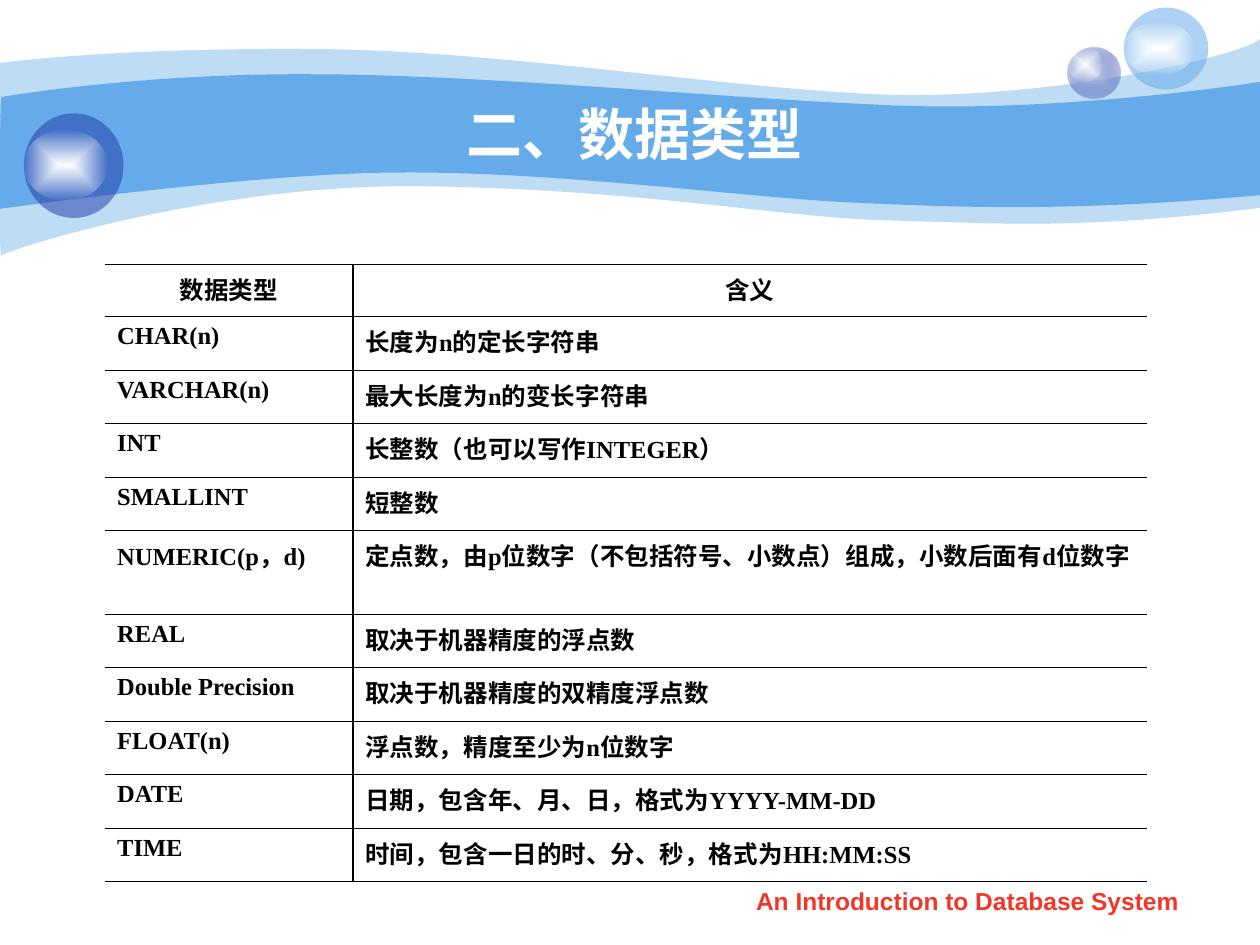
from dataclasses import dataclass
from pptx import Presentation
from pptx.util import Inches, Pt
from pptx.dml.color import RGBColor
from pptx.enum import shapes, text
from pptx.oxml import parse_xml
from pptx.oxml.ns import nsdecls, qn
from lxml import etree


@dataclass(frozen=True)
class Theme:
    sky: str = "65AAE9"
    navy: str = "233DA9"
    mist: str = "C6CCE8"
    white: str = "FFFFFF"
    pearl: str = "FEFEFE"
    black: str = "000000"
    red: str = "F03628"
    sans: str = "Arial"
    serif: str = "Times New Roman"
    title_size: int = 32
    body_size: int = 14
    thin: float = 0.45
    thick: float = 1.08


theme = Theme()


def paint(sp, *stops):
    colors = [f'<a:srgbClr val="{c}">' + (f'<a:alpha val="{a * 1000}"/>' if a < 100 else "") + "</a:srgbClr>"
              for c, a in stops]
    if len(colors) == 1:
        xml = f'<a:solidFill {nsdecls("a")}>{colors[0]}</a:solidFill>'
    else:
        xml = (f'<a:gradFill {nsdecls("a")} rotWithShape="1"><a:gsLst><a:gs pos="0">{colors[0]}</a:gs>'
               f'<a:gs pos="100000">{colors[1]}</a:gs></a:gsLst><a:path path="rect">'
               '<a:fillToRect l="50000" t="50000" r="50000" b="50000"/></a:path></a:gradFill>')
    sp.shadow.inherit = False
    sp.line.fill.background()
    sp.fill.solid()
    spPr = sp._element.spPr
    spPr.replace(spPr.find(qn("a:solidFill")), parse_xml(xml))


def style(p, font, size, color, align):
    p.alignment = align
    for r in p.runs:
        r.font.name = font
        r.font.size = Pt(size)
        r.font.bold = True
        r.font.color.rgb = RGBColor.from_string(color)


prs = Presentation()
prs.slide_width, prs.slide_height = Inches(10), Inches(7.5)
layout = prs.slide_layouts[5]
s = prs.slides.add_slide(layout)
backdrop = layout.shapes._spTree

waves = [
    (41, (0, 0.5), [
        (0.24, 0.47, 1.07, 0.38, 2.47, 0.39), (3.86, 0.39, 5.75, 0.7, 6.99, 0.75),
        (8.22, 0.8, 9.8, 0.47, 10, 0.31), (10, 1.65),
        (8.58, 1.83, 7.87, 1.77, 7.05, 1.75), (6.22, 1.73, 5.15, 1.51, 3.43, 1.48),
        (1.72, 1.44, 0.04, 1.99, 0.01, 2.03), (-0.01, 2.08, 0, 0.75, 0, 0.5)]),
    (100, (0.01, 0.77), [
        (0.02, 0.77, 1.1, 0.58, 2.48, 0.59), (3.86, 0.59, 5.95, 0.8, 7.18, 0.84),
        (8.41, 0.88, 9.76, 0.69, 10, 0.65), (10, 1.55),
        (8.53, 1.68, 7.65, 1.65, 6.82, 1.61), (5.99, 1.58, 4.47, 1.36, 3.17, 1.37),
        (2.03, 1.37, -0.02, 1.66, -0.01, 1.66), (0, 1.66, 0, 0.77, 0.01, 0.77)]),
]
for alpha, start, segments in waves:
    fb = s.shapes.build_freeform(Inches(start[0]), Inches(start[1]))
    for seg in segments:
        fb.add_line_segments([(Inches(x), Inches(y)) for x, y in zip(seg[::2], seg[1::2])], close=False)
    fb.add_line_segments([], close=True)
    sp = fb.convert_to_shape()
    lines = iter(list(sp._element.iter(qn("a:lnTo"))))
    for seg in segments:
        group = [next(lines) for _ in seg[::2]]
        if len(group) == 3:
            curve = etree.Element(qn("a:cubicBezTo"))
            group[0].addprevious(curve)
            for line in group:
                curve.append(line[0])
                line.getparent().remove(line)
    paint(sp, (theme.sky, alpha))
    backdrop.append(sp._element)

glow = [(theme.white, 100), (theme.pearl, 0)]
balls = [
    ((8.47, 0.38, 0.42, 0.4), (8.47, 0.38, 0.28, 0.27), [(theme.mist, 100), (theme.navy, 31)]),
    ((8.92, 0.06, 0.67, 0.65), (8.92, 0.17, 0.56, 0.43), [(theme.sky, 53)]),
    ((0.19, 0.9, 0.79, 0.83), (0.19, 1.03, 0.66, 0.56), [(theme.navy, 53)]),
]
for body, shine, stops in balls:
    ball = s.shapes.add_group_shape()
    for box, colors in ((body, stops), (shine, glow)):
        sp = ball.shapes.add_shape(shapes.MSO_SHAPE.OVAL, *map(Inches, box))
        paint(sp, *colors)
    backdrop.append(ball._element)

title = s.shapes.title
title.left, title.top, title.width, title.height = map(Inches, (1, 0.75, 8.08, 0.62))
tf = title.text_frame
tf.text = "二、数据类型"
tf.auto_size = text.MSO_AUTO_SIZE.NONE
tf.vertical_anchor = text.MSO_ANCHOR.MIDDLE
style(tf.paragraphs[0], theme.sans, theme.title_size, theme.white, text.PP_ALIGN.CENTER)

rows = [
    ("数据类型", "含义"),
    ("CHAR(n)", "长度为n的定长字符串"),
    ("VARCHAR(n)", "最大长度为n的变长字符串"),
    ("INT", "长整数（也可以写作INTEGER）"),
    ("SMALLINT", "短整数"),
    ("NUMERIC(p，d)", "定点数，由p位数字（不包括符号、小数点）组成，小数后面有d位数字"),
    ("REAL", "取决于机器精度的浮点数"),
    ("Double Precision", "取决于机器精度的双精度浮点数"),
    ("FLOAT(n)", "浮点数，精度至少为n位数字"),
    ("DATE", "日期，包含年、月、日，格式为YYYY-MM-DD"),
    ("TIME", "时间，包含一日的时、分、秒，格式为HH:MM:SS"),
]
special_heights = {0: 0.41, 5: 0.57}
table = s.shapes.add_table(len(rows), 2, *map(Inches, (0.83, 2.1, 8.27, 4.8))).table
table.first_row = table.horz_banding = False
for col, width in zip(table.columns, (1.97, 6.3)):
    col.width = Inches(width)
for i, row in enumerate(rows):
    table.rows[i].height = Inches(special_heights.get(i, 0.43 if i % 2 else 0.42))
    for j, value in enumerate(row):
        cell = table.cell(i, j)
        cell.text_frame.text = value
        cell.fill.background()
        p = cell.text_frame.paragraphs[0]
        style(p, theme.serif, theme.body_size, theme.black,
              text.PP_ALIGN.LEFT if i else text.PP_ALIGN.CENTER)
        pPr = p._p.get_or_add_pPr()
        pPr.set("marL", str(Inches(0.38)))
        pPr.set("indent", str(Inches(-0.38)))
        tcPr = cell._tc.get_or_add_tcPr()
        borders = [("lnL", theme.thick if j else 0), ("lnR", 0 if j else theme.thick),
                   ("lnT", theme.thin), ("lnB", theme.thin)]
        for k, (side, width) in enumerate(borders):
            fill = f'<a:solidFill><a:srgbClr val="{theme.black}"/></a:solidFill>' if width else "<a:noFill/>"
            tcPr.insert(k, parse_xml(f'<a:{side} {nsdecls("a")} w="{Pt(width)}">{fill}</a:{side}>'))

footer = s.shapes.add_textbox(*map(Inches, (5.71, 6.98, 3.94, 0.35)))
tf = footer.text_frame
tf.word_wrap = True
tf.text = "An Introduction to Database System"
style(tf.paragraphs[0], theme.sans, theme.body_size, theme.red, text.PP_ALIGN.CENTER)

prs.save("out.pptx")
